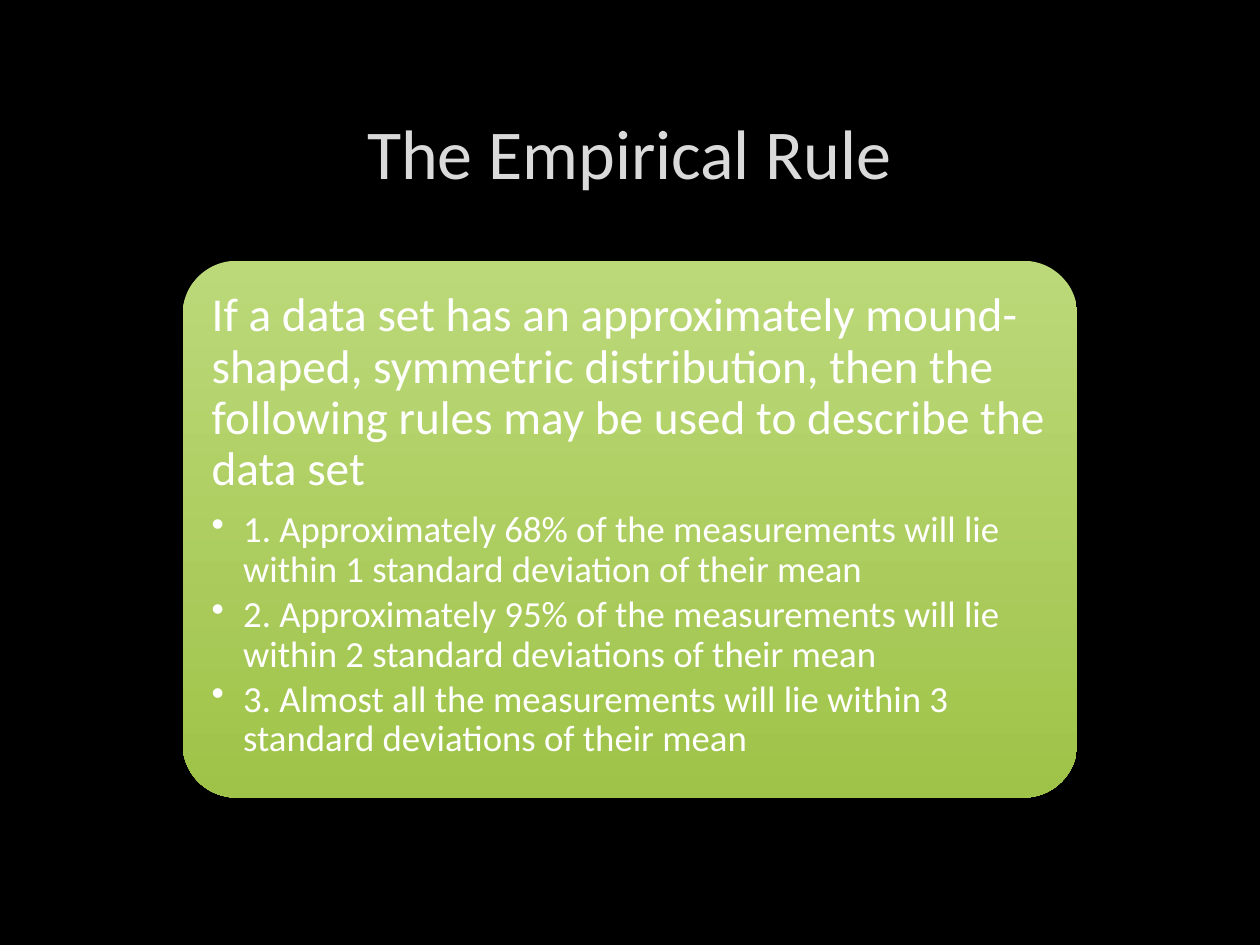
"""Build the Empirical Rule slide."""
from dataclasses import dataclass

import lxml.etree
import pptx
import pptx.dml.color
import pptx.enum.shapes
import pptx.enum.text
import pptx.oxml.ns
import pptx.util
from pptx.util import Inches

COLOURS = {
    "background": "000000",
    "title": "DADADA",
    "body": "FFFFFF",
    "panel_top": "BCD97A",
    "panel_bottom": "9FC348",
}
FONT = "Calibri"


@dataclass
class Statement:
    text: str
    size: float
    space_after: float
    bulleted: bool = False


RULES = [
    "1. Approximately 68% of the measurements will lie within 1 standard deviation of their mean",
    "2. Approximately 95% of the measurements will lie within 2 standard deviations of their mean",
    "3. Almost all the measurements will lie within 3 standard deviations of their mean",
]
STATEMENTS = [
    Statement(
        "If a data set has an approximately mound-shaped, symmetric distribution, "
        "then the following rules may be used to describe the data set",
        27,
        9,
    ),
    *(Statement(rule, 21, 3, bulleted=True) for rule in RULES),
]


def colour(key: str) -> pptx.dml.color.RGBColor:
    return pptx.dml.color.RGBColor.from_string(COLOURS[key])


def set_font(paragraph, size: float, key: str) -> None:
    paragraph.font.name = FONT
    paragraph.font.size = pptx.util.Pt(size)
    paragraph.font.color.rgb = colour(key)


def add_bullet(paragraph) -> None:
    paragraph.level = 1
    properties = paragraph._p.get_or_add_pPr()
    properties.set("marL", str(Inches(0.25)))
    properties.set("indent", str(Inches(-0.25)))
    bullet = lxml.etree.SubElement(properties, pptx.oxml.ns.qn("a:buChar"))
    bullet.set("char", "•")


def draw_title(slide) -> None:
    title = slide.shapes.add_textbox(Inches(0.75), Inches(0.67), Inches(8.49), Inches(1.06))
    frame = title.text_frame
    frame.word_wrap = True
    frame.vertical_anchor = pptx.enum.text.MSO_ANCHOR.MIDDLE
    heading = frame.paragraphs[0]
    heading.text = "The Empirical Rule"
    heading.alignment = pptx.enum.text.PP_ALIGN.CENTER
    set_font(heading, 40, "title")


def draw_panel(slide) -> None:
    panel = slide.shapes.add_shape(
        pptx.enum.shapes.MSO_SHAPE.ROUNDED_RECTANGLE,
        Inches(1.45), Inches(2.07), Inches(7.1), Inches(4.26),
    )
    panel.adjustments[0] = 0.1
    panel.shadow.inherit = False
    panel.line.fill.background()
    panel.fill.gradient()
    panel.fill.gradient_angle = 270
    for stop, position, key in zip(panel.fill.gradient_stops, (0, 1), ("panel_top", "panel_bottom")):
        stop.position = position
        stop.color.rgb = colour(key)


def draw_statements(slide, statements: list[Statement]) -> None:
    body = slide.shapes.add_textbox(Inches(1.57), Inches(2.2), Inches(6.85), Inches(4.01))
    frame = body.text_frame
    frame.word_wrap = True
    frame.margin_left = frame.margin_right = Inches(0.11)
    frame.margin_top = frame.margin_bottom = Inches(0.11)
    for index, statement in enumerate(statements):
        paragraph = frame.add_paragraph() if index else frame.paragraphs[0]
        paragraph.text = statement.text
        paragraph.line_spacing = 0.9
        paragraph.space_after = pptx.util.Pt(statement.space_after)
        if statement.bulleted:
            add_bullet(paragraph)
        set_font(paragraph, statement.size, "body")


def main() -> None:
    presentation = pptx.Presentation()
    presentation.slide_width = Inches(10)
    presentation.slide_height = Inches(7.5)
    slide = presentation.slides.add_slide(presentation.slide_layouts[6])
    slide.background.fill.solid()
    slide.background.fill.fore_color.rgb = colour("background")
    draw_title(slide)
    draw_panel(slide)
    draw_statements(slide, STATEMENTS)
    presentation.save("out.pptx")


if __name__ == "__main__":
    main()
